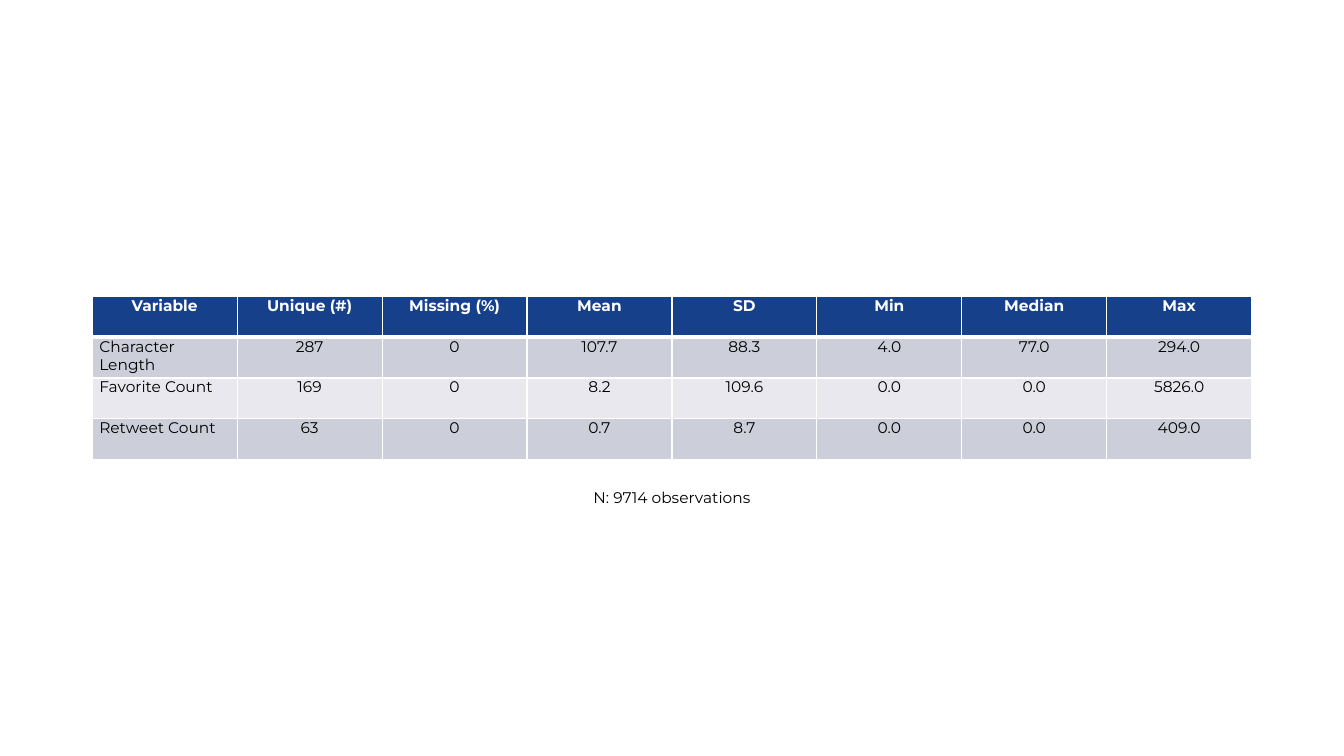
from dataclasses import dataclass

from lxml import etree
from pptx import Presentation
from pptx import util as u
from pptx.dml.color import RGBColor
from pptx.enum import text
from pptx.oxml.ns import qn


@dataclass(frozen=True)
class Theme:
    """Colours, font and type size of the slide."""
    font: str = "Montserrat"
    size: int = 11
    ink: str = "000000"
    white: str = "FFFFFF"
    header: str = "17408B"
    bands: tuple = ("CCCFDA", "E8E8EE")


THEME = Theme()
HEADINGS = ["Variable", "Unique (#)", "Missing (%)", "Mean", "SD", "Min", "Median", "Max"]
STATISTICS = [
    ["Character Length", "287", "0", "107.7", "88.3", "4.0", "77.0", "294.0"],
    ["Favorite Count", "169", "0", "8.2", "109.6", "0.0", "0.0", "5826.0"],
    ["Retweet Count", "63", "0", "0.7", "8.7", "0.0", "0.0", "409.0"],
]


def write(frame, words, colour, centred=True, bold=False):
    """Put one formatted paragraph into a text frame."""
    frame.text = words
    para = frame.paragraphs[0]
    para.alignment = text.PP_ALIGN.CENTER if centred else text.PP_ALIGN.LEFT
    font = para.runs[0].font
    font.name, font.size, font.bold = THEME.font, u.Pt(THEME.size), bold
    font.color.rgb = RGBColor.from_string(colour)


def add_borders(cell, top, bottom):
    """Draw white cell borders; top and bottom are widths in points."""
    properties = cell._tc.get_or_add_tcPr()
    for side, width in (("L", 1), ("R", 1), ("T", top), ("B", bottom)):
        line = etree.SubElement(properties, qn(f"a:ln{side}"), w=str(u.Pt(width)))
        fill = etree.SubElement(line, qn("a:solidFill"))
        etree.SubElement(fill, qn("a:srgbClr"), val=THEME.white)


deck = Presentation()
deck.slide_width, deck.slide_height = u.Inches(13.33), u.Inches(7.5)
page = deck.slides.add_slide(deck.slide_layouts[6])

# Summary table, centred across the slide
rows = [HEADINGS] + STATISTICS
table_width = u.Inches(11.5)
row_height = u.Inches(0.405)
table_left = (deck.slide_width - table_width) // 2
table = page.shapes.add_table(
    len(rows), len(HEADINGS), table_left, u.Inches(2.94),
    table_width, row_height * len(rows)).table

for row_index, values in enumerate(rows):
    is_header = row_index == 0
    fill_colour = THEME.header if is_header else THEME.bands[(row_index - 1) % 2]
    for column_index, value in enumerate(values):
        cell = table.cell(row_index, column_index)
        cell.margin_left = cell.margin_right = u.Inches(0.07)
        cell.margin_top = cell.margin_bottom = 0
        add_borders(cell, top=3 if row_index == 1 else 1, bottom=3 if is_header else 1)
        cell.fill.solid()
        cell.fill.fore_color.rgb = RGBColor.from_string(fill_colour)
        write(cell.text_frame, value, THEME.white if is_header else THEME.ink,
              centred=is_header or column_index > 0, bold=is_header)

# Sample size, centred two columns wide below the table
note_width = table_width // 4
note = page.shapes.add_textbox(
    (deck.slide_width - note_width) // 2, u.Inches(4.79), note_width, u.Inches(0.29))
note.text_frame.word_wrap = True
note.text_frame.auto_size = text.MSO_AUTO_SIZE.SHAPE_TO_FIT_TEXT
write(note.text_frame, "N: 9714 observations", THEME.ink)

deck.save("out.pptx")
